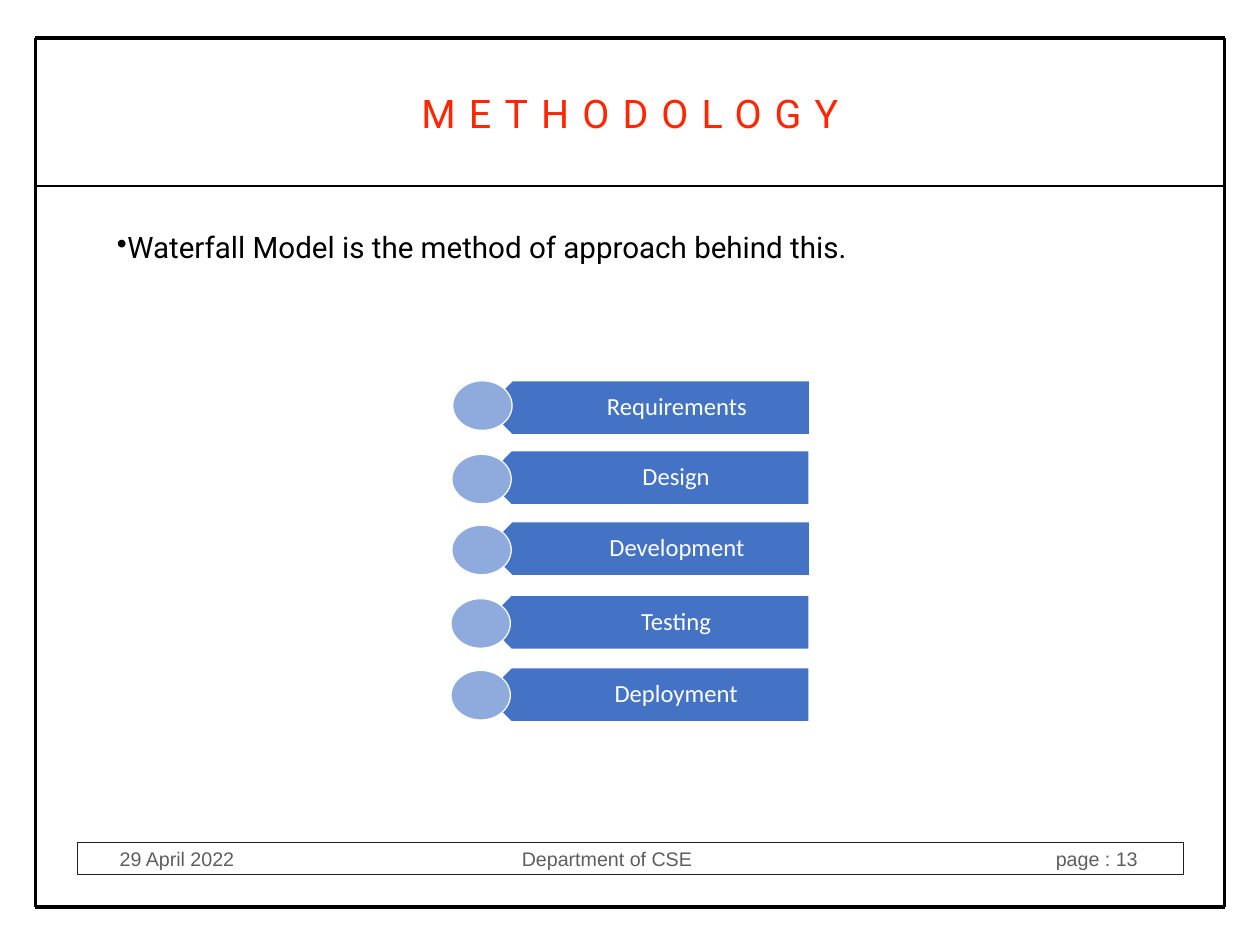
from lxml.etree import SubElement
from pptx import Presentation
from pptx.dml.color import RGBColor
from pptx.enum.shapes import MSO_CONNECTOR, MSO_SHAPE
from pptx.enum.text import MSO_ANCHOR as ANCHOR, PP_ALIGN as ALIGN
from pptx.oxml.ns import qn
from pptx.util import Inches, Pt

COLORS = {
    "frame": "000000",
    "title": "FF2600",
    "body": "000000",
    "footer": "5E5E5E",
    "footer_line": "212121",
    "bar": "4472C4",
    "dot": "8FAADC",
    "white": "FFFFFF",
}
LEFT, RIGHT, TOP, BOTTOM, DIVIDER = 0.4, 13.82, 0.43, 10.24, 2.1
FRAME = [
    (LEFT, TOP, LEFT, BOTTOM, 3),
    (RIGHT, TOP, RIGHT, BOTTOM, 3),
    (LEFT, TOP, RIGHT, TOP, 3),
    (LEFT, BOTTOM, RIGHT, BOTTOM, 3),
    (LEFT, DIVIDER, RIGHT, DIVIDER, 2),
]
BAR_W, BAR_H, NOTCH = 3.66, 0.61, 0.3
DOT_W, DOT_H = 0.67, 0.56
STAGES = [
    ("Requirements", (5.48, 4.3), (5.11, 4.3)),
    ("Design", (5.47, 5.09), (5.1, 5.13)),
    ("Development", (5.48, 5.89), (5.1, 5.93)),
    ("Testing", (5.47, 6.72), (5.09, 6.76)),
    ("Deployment", (5.47, 7.54), (5.09, 7.57)),
]


class Deck:
    def __init__(self, width, height):
        self.prs = Presentation()
        self.prs.slide_width = Inches(width)
        self.prs.slide_height = Inches(height)
        self.slide = self.prs.slides.add_slide(self.prs.slide_layouts[6])
        self.shapes = self.slide.shapes

    def rgb(self, name):
        return RGBColor.from_string(COLORS[name])

    def line(self, x1, y1, x2, y2, width):
        ends = [Inches(v) for v in (x1, y1, x2, y2)]
        sp = self.shapes.add_connector(MSO_CONNECTOR.STRAIGHT, *ends)
        sp.line.color.rgb = self.rgb("frame")
        sp.line.width = Pt(width)
        SubElement(sp._element.spPr, qn("a:effectLst"))

    def paint(self, sp, fill, line, width):
        sp.shadow.inherit = False
        if fill:
            sp.fill.solid()
            sp.fill.fore_color.rgb = self.rgb(fill)
        else:
            sp.fill.background()
        sp.line.color.rgb = self.rgb(line)
        sp.line.width = Pt(width)

    def shape(self, kind, box, fill, line, width):
        sp = self.shapes.add_shape(kind, *[Inches(v) for v in box])
        self.paint(sp, fill, line, width)
        return sp

    def bar(self, x, y):
        points = [(x + NOTCH, y), (x + BAR_W, y), (x + BAR_W, y + BAR_H),
                  (x + NOTCH, y + BAR_H), (x, y + BAR_H / 2)]
        points = [(Inches(px), Inches(py)) for px, py in points]
        builder = self.shapes.build_freeform(*points[0])
        builder.add_line_segments(points[1:], close=True)
        sp = builder.convert_to_shape()
        self.paint(sp, "bar", "white", 1)
        return sp

    def textbox(self, *box):
        return self.shapes.add_textbox(*[Inches(v) for v in box])

    def label(self, sp, text, size, font, color, align, insets,
              anchor=ANCHOR.MIDDLE, wrap=True):
        tf = sp.text_frame
        tf.word_wrap = wrap
        tf.vertical_anchor = anchor
        (tf.margin_left, tf.margin_top,
         tf.margin_right, tf.margin_bottom) = [Inches(v) for v in insets]
        p = tf.paragraphs[0]
        p.text = text
        p.alignment = align
        p.font.size = Pt(size)
        p.font.name = font
        p.font.color.rgb = self.rgb(color)
        return p

    def spacing(self, p, points):
        for r in p.runs:
            r._r.get_or_add_rPr().set("spc", str(round(points * 100)))

    def bullet(self, p, margin, indent):
        pPr = p._p.get_or_add_pPr()
        pPr.set("marL", str(Inches(margin)))
        pPr.set("indent", str(Inches(indent)))
        bu = pPr.makeelement(qn("a:buChar"), {"char": "•"})
        pPr.find(qn("a:defRPr")).addprevious(bu)

    def tabs(self, p, stops):
        pPr = p._p.get_or_add_pPr()
        tab_list = pPr.makeelement(qn("a:tabLst"), {})
        for pos, align in stops:
            SubElement(tab_list, qn("a:tab"), pos=str(Inches(pos)), algn=align)
        pPr.find(qn("a:defRPr")).addprevious(tab_list)


def main():
    deck = Deck(14.22, 10.67)
    for edge in FRAME:
        deck.line(*edge)

    footer = deck.shape(MSO_SHAPE.RECTANGLE, (0.87, 9.51, 12.49, 0.37),
                        None, "footer_line", 0.75)
    p = deck.label(footer, "29 April 2022\tDepartment of CSE\tpage : 13", 16,
                   "Arial", "footer", ALIGN.LEFT, (0.48, 0.06, 0.06, 0.06))
    deck.tabs(p, [(5.5, "ctr"), (11.49, "r")])

    title = deck.textbox(4.49, 0.91, 5.24, 0.72)
    p = deck.label(title, "METHODOLOGY", 32, "Roboto", "title", ALIGN.CENTER,
                   [0.06] * 4, wrap=False)
    deck.spacing(p, 10.6)

    body = deck.textbox(0.44, 2.54, 11.57, 1.4)
    p = deck.label(body, "Waterfall Model is the method of approach behind this.",
                   24, "Roboto", "body", ALIGN.JUSTIFY, [0.05] * 4, ANCHOR.TOP)
    p.space_before = Pt(4)
    deck.bullet(p, 0.93, -0.1)

    for name, bar_at, dot_at in STAGES:
        bar = deck.bar(*bar_at)
        p = deck.label(bar, name, 20, "Calibri", "white", ALIGN.CENTER,
                       (0.82, 0.08, 0.16, 0.08))
        p.line_spacing = 0.9
        deck.shape(MSO_SHAPE.OVAL, (*dot_at, DOT_W, DOT_H), "dot", "white", 1)

    deck.prs.save("out.pptx")


if __name__ == "__main__":
    main()
